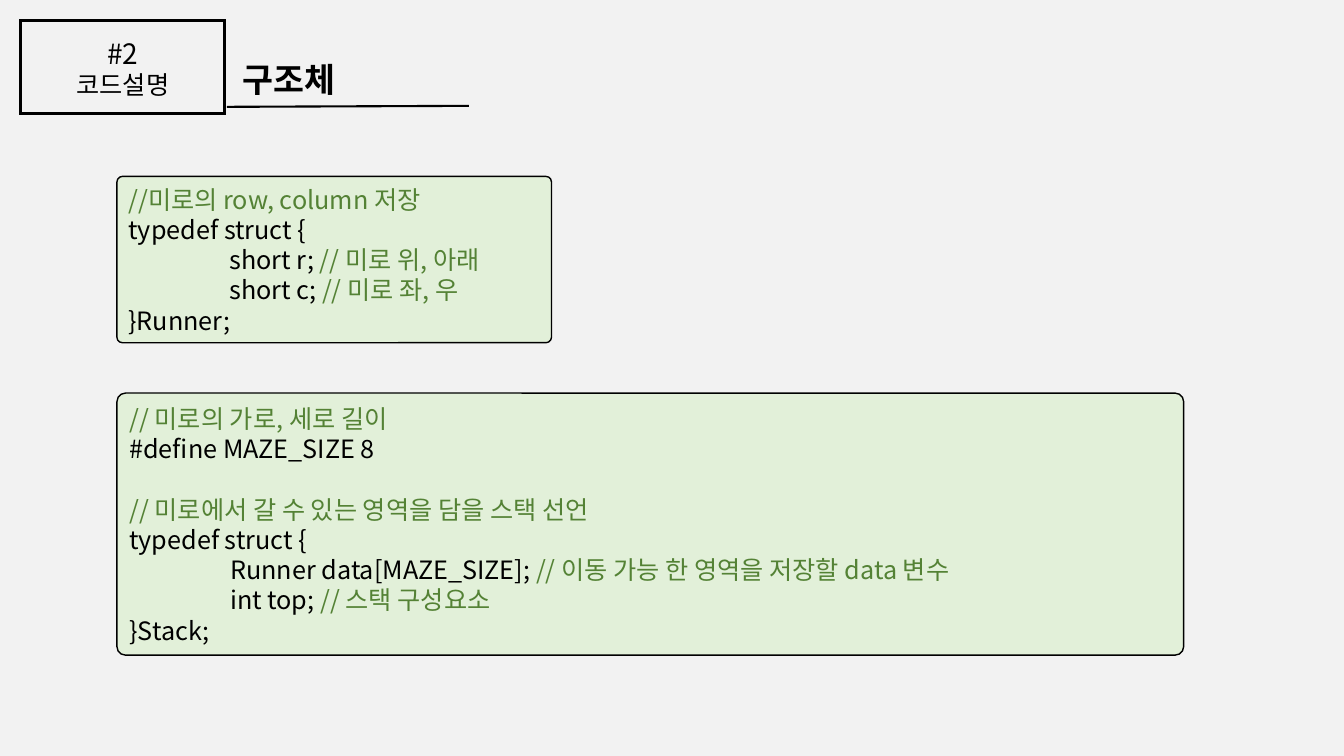
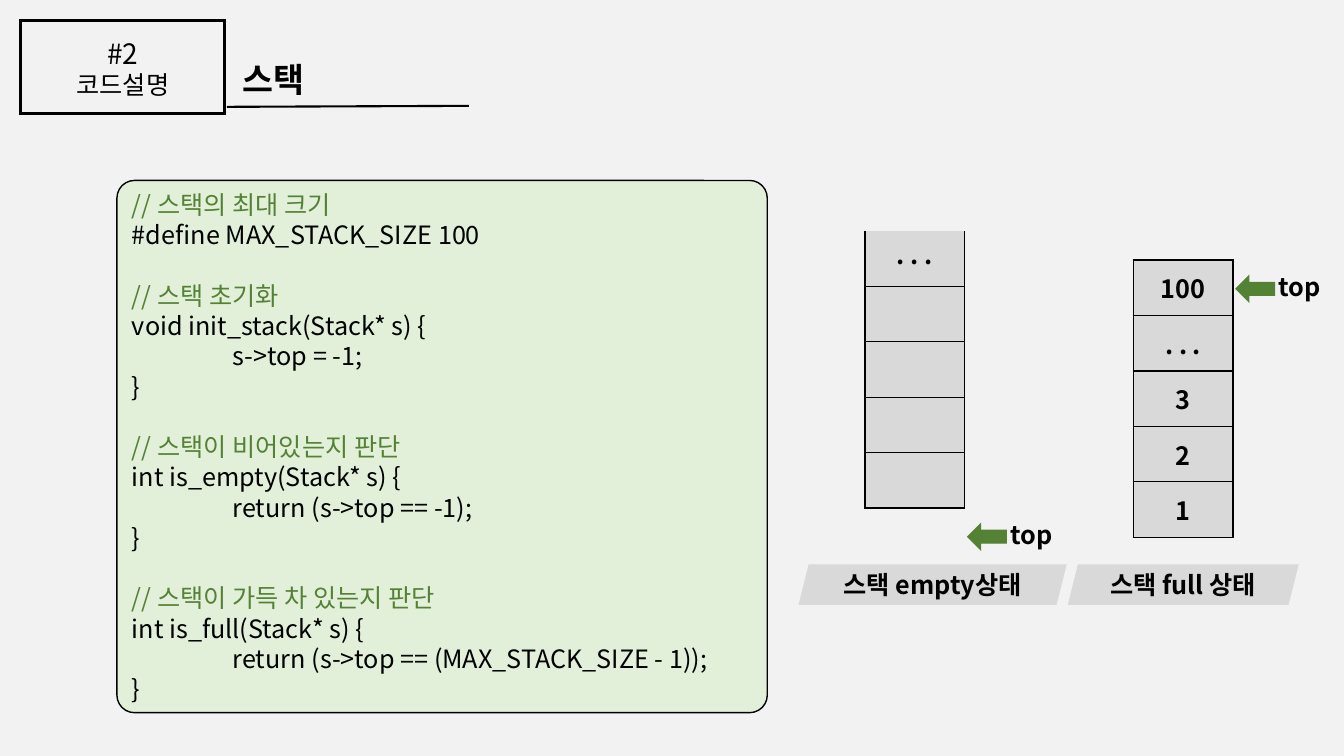
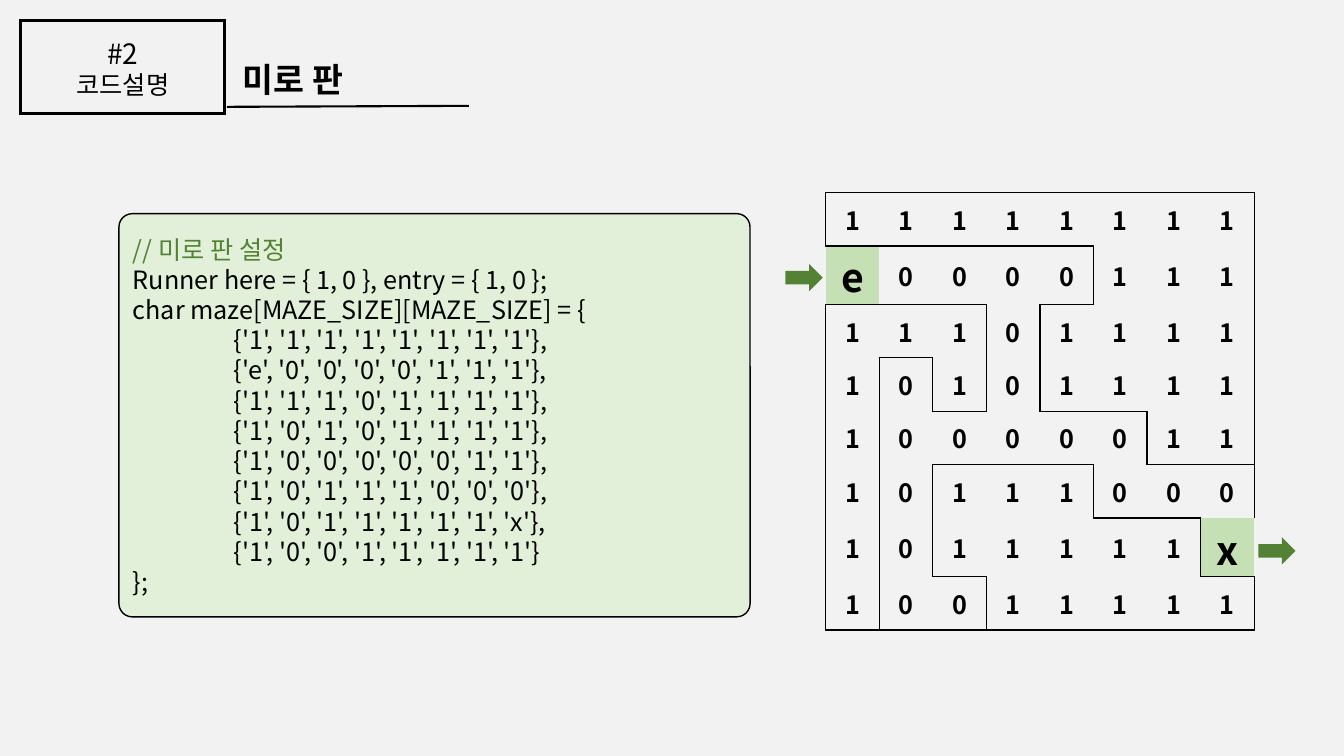
from dataclasses import dataclass

from lxml import etree
from pptx import Presentation
from pptx.dml.color import RGBColor
from pptx.enum.shapes import MSO_CONNECTOR, MSO_SHAPE
from pptx.enum.text import MSO_ANCHOR, MSO_AUTO_SIZE, PP_ALIGN
from pptx.oxml.ns import qn
from pptx.util import Inches, Pt

BLACK = RGBColor(0x00, 0x00, 0x00)
PAGE = RGBColor(0xF2, 0xF2, 0xF2)
GRAY = RGBColor(0xD9, 0xD9, 0xD9)
GREEN = RGBColor(0x54, 0x82, 0x35)
CODE_FILL = RGBColor(0xE2, 0xF0, 0xD9)
GATE_FILL = RGBColor(0xC5, 0xE0, 0xB4)
KR = "Noto Sans CJK KR"
JP = "Noto Sans CJK JP"
LEADING = 1.2
MAZE = (
    "11111111",
    "e0000111",
    "11101111",
    "10101111",
    "10000011",
    "10111000",
    "1011111x",
    "10011111",
)
GATES = "ex"
MAZE_ROWS = ",\n".join(
    "\t{" + ", ".join(f"'{mark}'" for mark in row) + "}" for row in MAZE
)

RUNNER_CODE = """//미로의 row, column 저장
typedef struct {
\tshort r; // 미로 위, 아래
\tshort c; // 미로 좌, 우
}Runner;"""

STACK_CODE = """// 미로의 가로, 세로 길이
#define MAZE_SIZE 8

// 미로에서 갈 수 있는 영역을 담을 스택 선언
typedef struct {
\tRunner data[MAZE_SIZE]; // 이동 가능 한 영역을 저장할 data 변수
\tint top; // 스택 구성요소
}Stack;"""

STACK_FUNCTIONS = """// 스택의 최대 크기
#define MAX_STACK_SIZE 100

// 스택 초기화
void init_stack(Stack* s) {
\ts->top = -1;
}

// 스택이 비어있는지 판단
int is_empty(Stack* s) {
\treturn (s->top == -1);
}

// 스택이 가득 차 있는지 판단
int is_full(Stack* s) {
\treturn (s->top == (MAX_STACK_SIZE - 1));
}"""

MAZE_CODE = f"""// 미로 판 설정
Runner here = {{ 1, 0 }}, entry = {{ 1, 0 }};
char maze[MAZE_SIZE][MAZE_SIZE] = {{
{MAZE_ROWS}
}};"""


@dataclass(frozen=True)
class Box:
    left: float
    top: float
    width: float
    height: float

    def emu(self):
        return [Inches(v) for v in (self.left, self.top, self.width, self.height)]


@dataclass(frozen=True)
class Stack:
    table: Box
    values: tuple
    open_top: bool
    arrow: Box
    caption: str
    caption_box: Box


STACKS = (
    Stack(Box(11.24, 2.58, 0.99, 2.75), ("100", ". . .", "3", "2", "1"), False,
          Box(12.26, 2.74, 0.38, 0.25), "스택 full 상태", Box(10.59, 5.6, 2.29, 0.4)),
    Stack(Box(8.58, 2.29, 0.99, 2.75), (". . .", "", "", "", ""), True,
          Box(9.6, 5.2, 0.38, 0.25), "스택 empty상태", Box(7.92, 5.6, 2.66, 0.4)),
)


def format_run(r, size: float, color=BLACK, bold: bool = False, font: str = KR) -> None:
    r.font.size = Pt(size)
    r.font.bold = bold
    r.font.color.rgb = color
    r.font.name = font
    etree.SubElement(r.font._element, qn("a:ea"), typeface=font)


def format_paragraph(p, size: float, align=PP_ALIGN.LEFT, **style) -> None:
    p.alignment = align
    p.line_spacing = Pt(size * LEADING)
    for r in p.runs:
        format_run(r, size, **style)


def outline_run(r) -> None:
    ln = etree.Element(qn("a:ln"), w=str(Pt(0.75)))
    fill = etree.SubElement(ln, qn("a:solidFill"))
    color = etree.SubElement(fill, qn("a:srgbClr"), val=str(BLACK))
    etree.SubElement(color, qn("a:alpha"), val="30000")
    r.font._element.insert(0, ln)


def add_tab_stop(p, position: float) -> None:
    tabs = etree.SubElement(p._p.get_or_add_pPr(), qn("a:tabLst"))
    etree.SubElement(tabs, qn("a:tab"), pos=str(Inches(position)), algn="l")


def add_shape(shapes, kind, box: Box, fill=None, line=None, width: float = 1):
    sp = shapes.add_shape(kind, *box.emu())
    sp.shadow.inherit = False
    if fill is None:
        sp.fill.background()
    else:
        sp.fill.solid()
        sp.fill.fore_color.rgb = fill
    if line is None:
        sp.line.fill.background()
    else:
        sp.line.color.rgb = line
        sp.line.width = Pt(width)
        etree.SubElement(sp.line._get_or_add_ln(), qn("a:miter"), lim="800000")
    return sp


def add_text(shapes, box: Box, text: str):
    tf = shapes.add_textbox(*box.emu()).text_frame
    tf.word_wrap = True
    tf.text = text
    return tf


def add_code(s, box: Box, code: str) -> None:
    sp = add_shape(s.shapes, MSO_SHAPE.ROUNDED_RECTANGLE, box, CODE_FILL, BLACK)
    sp.adjustments[0] = 0.033
    tf = sp.text_frame
    tf.word_wrap = True
    tf.vertical_anchor = MSO_ANCHOR.MIDDLE
    p = tf.paragraphs[0]
    for block_no, block in enumerate(code.split("\n\n")):
        for line_no, line in enumerate(block.split("\n")):
            if block_no or line_no:
                p = tf.add_paragraph()
            format_paragraph(p, 18)
            if block_no and not line_no:
                p.space_before = Pt(18 * LEADING)
            add_tab_stop(p, 1)
            statement, slashes, comment = line.partition("//")
            for text, color in ((statement, BLACK), (slashes + comment, GREEN)):
                if text:
                    r = p.add_run()
                    r.text = text
                    format_run(r, 18, color)


def set_borders(cell, sides: str) -> None:
    tc_pr = cell._tc.get_or_add_tcPr()
    for i, side in enumerate("LRTB"):
        ln = etree.Element(qn(f"a:ln{side}"), w=str(Pt(1)))
        if side in sides:
            fill = etree.SubElement(ln, qn("a:solidFill"))
            etree.SubElement(fill, qn("a:srgbClr"), val=str(BLACK))
        else:
            etree.SubElement(ln, qn("a:noFill"))
        tc_pr.insert(i, ln)


def add_grid(s, box: Box, rows: int, cols: int):
    table = s.shapes.add_table(rows, cols, *box.emu()).table
    table.first_row = False
    table.horz_banding = False
    return table


def fill_cell(cell, text: str, fill, sides: str, size: float = 18, font: str = KR,
              anchor=MSO_ANCHOR.MIDDLE) -> None:
    cell.text = text
    cell.vertical_anchor = anchor
    cell.margin_top = Inches(0.11)
    cell.margin_bottom = Inches(0 if size > 18 else 0.05)
    cell.fill.solid()
    cell.fill.fore_color.rgb = fill
    format_paragraph(cell.text_frame.paragraphs[0], size, PP_ALIGN.CENTER,
                     bold=True, font=font)
    set_borders(cell, sides)


def add_stack(s, stack: Stack) -> None:
    table = add_grid(s, stack.table, len(stack.values), 1)
    for i, value in enumerate(stack.values):
        is_open = stack.open_top and i == 0
        fill_cell(table.cell(i, 0), value, GRAY, "LRB" if is_open else "LRTB", font=JP,
                  anchor=MSO_ANCHOR.TOP if is_open else MSO_ANCHOR.MIDDLE)
    arrow = stack.arrow
    add_shape(s.shapes, MSO_SHAPE.LEFT_ARROW, arrow, GREEN, GREEN)
    tf = add_text(s.shapes, Box(arrow.left + 0.32, arrow.top - 0.1, 0.75, 0.4), "top")
    format_paragraph(tf.paragraphs[0], 18, bold=True)
    sp = add_shape(s.shapes, MSO_SHAPE.PARALLELOGRAM, stack.caption_box, GRAY)
    tf = sp.text_frame
    tf.text = stack.caption
    tf.word_wrap = False
    tf.vertical_anchor = MSO_ANCHOR.MIDDLE
    format_paragraph(tf.paragraphs[0], 18, PP_ALIGN.CENTER, bold=True)


def maze_sides(row: int, col: int) -> str:
    mark = MAZE[row][col]
    sides = ""
    for side, dy, dx in (("L", 0, -1), ("R", 0, 1), ("T", -1, 0), ("B", 1, 0)):
        y, x = row + dy, col + dx
        if 0 <= y < len(MAZE) and 0 <= x < len(MAZE[0]):
            has_wall = (mark == "1") != (MAZE[y][x] == "1")
        else:
            has_wall = mark not in GATES
        sides += side if has_wall else ""
    return sides


def add_maze(s, box: Box) -> None:
    table = add_grid(s, box, len(MAZE), len(MAZE[0]))
    for y, row in enumerate(MAZE):
        has_gate = any(mark in GATES for mark in row)
        table.rows[y].height = Inches(0.58 if has_gate else 0.53)
        for x, mark in enumerate(row):
            is_gate = mark in GATES
            fill_cell(table.cell(y, x), mark, GATE_FILL if is_gate else PAGE,
                      maze_sides(y, x), 28 if is_gate else 18)


def add_slide(prs, title: str):
    s = prs.slides.add_slide(prs.slide_layouts[5])
    group = s.shapes.add_group_shape()
    tf = add_text(group.shapes, Box(0.26, 0.31, 1.92, 0.74), "#2\n코드설명")
    for p, size in zip(tf.paragraphs, (20, 18)):
        format_paragraph(p, size, PP_ALIGN.CENTER, font=JP)
        outline_run(p.runs[0])
    add_shape(group.shapes, MSO_SHAPE.RECTANGLE, Box(0.2, 0.2, 2.03, 0.93),
              line=BLACK, width=2)

    heading = s.shapes.title
    heading.left, heading.top, heading.width, heading.height = Box(2.31, 0.53, 3.29, 0.5).emu()
    tf = heading.text_frame
    tf.text = title
    tf.word_wrap = True
    tf.auto_size = MSO_AUTO_SIZE.NONE
    tf.vertical_anchor = MSO_ANCHOR.TOP
    format_paragraph(tf.paragraphs[0], 24, bold=True)

    rule = s.shapes.add_connector(MSO_CONNECTOR.STRAIGHT, Inches(2.25), Inches(1.06),
                                  Inches(4.65), Inches(1.05))
    rule.line.color.rgb = BLACK
    rule.line.width = Pt(1.5)
    etree.SubElement(rule._element.spPr, qn("a:effectLst"))
    return s


def main() -> None:
    prs = Presentation()
    prs.slide_width, prs.slide_height = Inches(13.33), Inches(7.5)
    background = prs.slide_master.background.fill
    background.solid()
    background.fore_color.rgb = PAGE

    s = add_slide(prs, "구조체")
    add_code(s, Box(1.16, 1.75, 4.31, 1.65), RUNNER_CODE)
    add_code(s, Box(1.16, 3.9, 10.58, 2.6), STACK_CODE)

    s = add_slide(prs, "스택")
    add_code(s, Box(1.16, 1.79, 6.45, 5.28), STACK_FUNCTIONS)
    for stack in STACKS:
        add_stack(s, stack)

    s = add_slide(prs, "미로 판")
    add_code(s, Box(1.18, 2.12, 6.26, 4), MAZE_CODE)
    add_maze(s, Box(8.19, 1.91, 4.25, 4.34))
    for left, top in ((7.79, 2.62), (12.48, 5.33)):
        add_shape(s.shapes, MSO_SHAPE.RIGHT_ARROW, Box(left, top, 0.37, 0.27), GREEN)

    prs.save("out.pptx")


if __name__ == "__main__":
    main()
